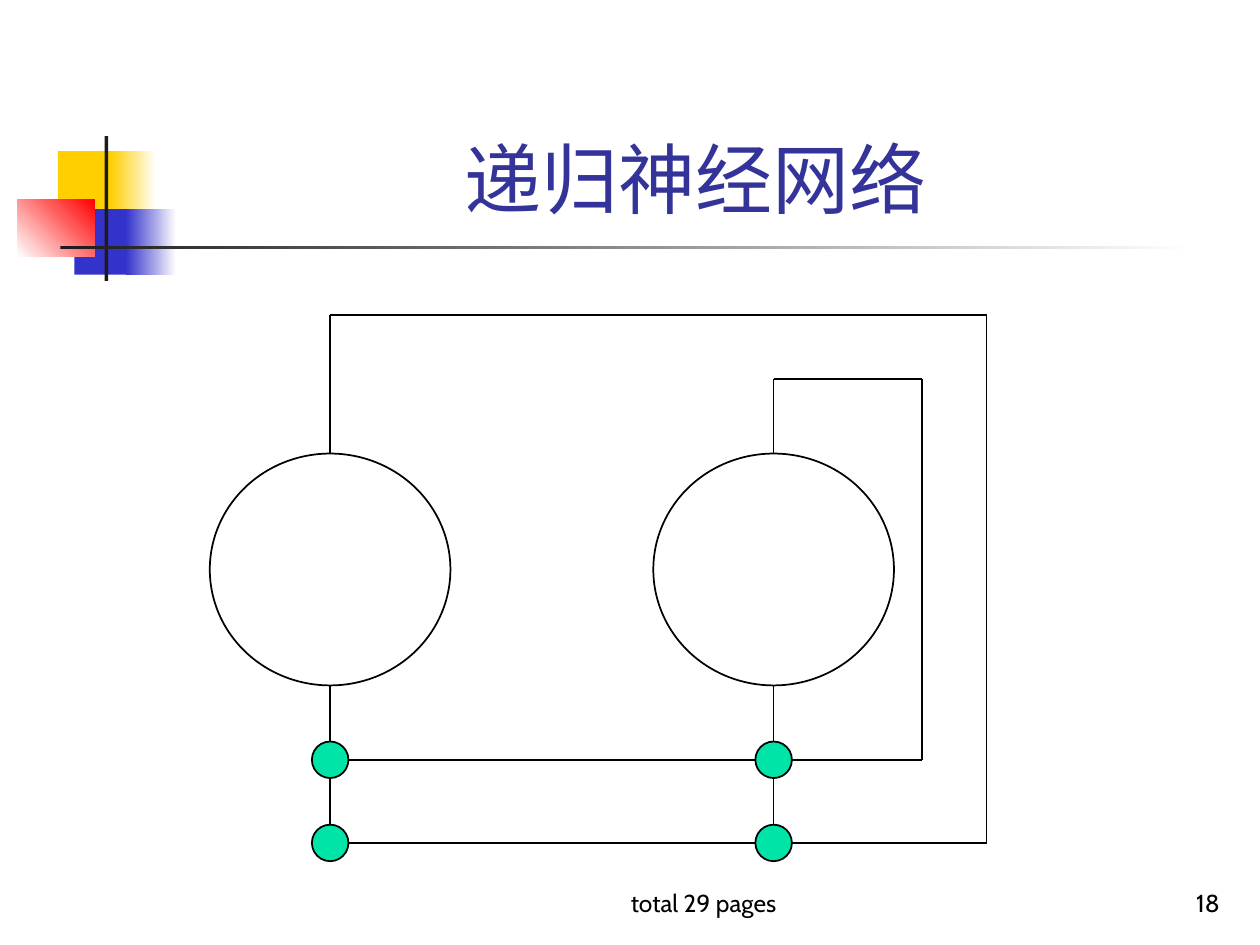
from lxml import etree
from pptx import Presentation
from pptx.dml.color import RGBColor
from pptx.enum.shapes import MSO_CONNECTOR, MSO_SHAPE
from pptx.enum.text import MSO_ANCHOR, MSO_AUTO_SIZE, PP_ALIGN
from pptx.oxml.ns import qn
from pptx.util import Inches, Pt

RECTANGLE, OVAL = MSO_SHAPE.RECTANGLE, MSO_SHAPE.OVAL
STRAIGHT = MSO_CONNECTOR.STRAIGHT
BOTTOM = MSO_ANCHOR.BOTTOM
NO_AUTOFIT = MSO_AUTO_SIZE.NONE
CENTER, RIGHT = PP_ALIGN.CENTER, PP_ALIGN.RIGHT

FONT = "Cabin"
BLACK = RGBColor(0x00, 0x00, 0x00)
WHITE = RGBColor(0xFF, 0xFF, 0xFF)
CHARCOAL = RGBColor(0x1C, 0x1C, 0x1C)
YELLOW = RGBColor(0xFF, 0xCF, 0x01)
BLUE = RGBColor(0x33, 0x33, 0xCC)
RED = RGBColor(0xFF, 0x00, 0x00)
NAVY = RGBColor(0x33, 0x33, 0x99)
GREEN = RGBColor(0x00, 0xE4, 0xA8)


def write_text(shape, text, size=14, color=BLACK, alignment=CENTER):
    frame = shape.text_frame
    frame.word_wrap = True
    frame.auto_size = NO_AUTOFIT
    frame.vertical_anchor = BOTTOM
    paragraph = frame.paragraphs[0]
    paragraph.alignment = alignment
    run = paragraph.add_run()
    run.text = text
    run.font.name = FONT
    run.font.size = Pt(size)
    run.font.color.rgb = color


def place(shape, left, top, width, height):
    shape.left, shape.top = Inches(left), Inches(top)
    shape.width, shape.height = Inches(width), Inches(height)


class SlideBuilder:
    def __init__(self, slide):
        self.slide = slide
        self.shapes = slide.shapes
        self.line_width = Pt(1)

    def start_group(self):
        self.shapes = self.slide.shapes.add_group_shape().shapes

    def title(self, text, box):
        title = self.slide.shapes.title
        place(title, *box)
        write_text(title, text, size=44, color=NAVY)

    def label(self, text, box, alignment):
        text_box = self.slide.shapes.add_textbox(*map(Inches, box))
        write_text(text_box, text, alignment=alignment)

    def bar(self, box, start, end=None, angle=0):
        shape = self.shapes.add_shape(RECTANGLE, *map(Inches, box))
        shape.shadow.inherit = False
        shape.line.fill.background()
        if end is None:
            shape.fill.solid()
            shape.fill.fore_color.rgb = start
        else:
            shape.fill.gradient()
            shape.fill.gradient_angle = angle
            for stop, position, color in zip(shape.fill.gradient_stops, (0, 1), (start, end)):
                stop.position = position
                stop.color.rgb = color

    def circle(self, center_x, center_y, width, height, color):
        box = (center_x - width / 2, center_y - height / 2, width, height)
        shape = self.shapes.add_shape(OVAL, *map(Inches, box))
        shape.shadow.inherit = False
        shape.fill.solid()
        shape.fill.fore_color.rgb = color
        shape.line.color.rgb = BLACK
        shape.line.width = self.line_width

    def wire(self, *points):
        for start, end in zip(points, points[1:]):
            connector = self.shapes.add_connector(STRAIGHT, *map(Inches, start + end))
            connector.line.color.rgb = BLACK
            connector.line.width = self.line_width
            etree.SubElement(connector._element.spPr, qn("a:effectLst"))


def draw_ornament(builder):
    builder.bar((0.46, 1.2, 0.48, 0.52), YELLOW)
    builder.bar((0.88, 1.2, 0.36, 0.52), YELLOW, WHITE)
    builder.bar((0.59, 1.66, 0.46, 0.52), BLUE)
    builder.bar((1, 1.66, 0.4, 0.52), BLUE, WHITE)
    builder.bar((0.14, 1.58, 0.61, 0.46), WHITE, RED, angle=45)
    builder.bar((0.83, 1.08, 0.03, 1.15), CHARCOAL)
    builder.bar((0.48, 1.95, 9, 0.03), CHARCOAL, WHITE)


def draw_network(builder):
    neuron_columns = (2.62, 6.14)
    synapse_rows = (6.03, 6.69)
    first, second = neuron_columns
    upper, lower = synapse_rows
    builder.start_group()
    for column, top, right, row in (
        (second, 3.01, 7.32, upper),
        (first, 2.5, 7.83, lower),
    ):
        builder.wire((column, lower), (column, top), (right, top), (right, row), (first, row))
    for column in neuron_columns:
        builder.circle(column, 4.52, 1.91, 1.84, WHITE)
        for row in synapse_rows:
            builder.circle(column, row, 0.29, 0.29, GREEN)


def main():
    presentation = Presentation()
    presentation.slide_width = Inches(10)
    presentation.slide_height = Inches(7.5)
    slide = presentation.slides.add_slide(presentation.slide_layouts[5])
    builder = SlideBuilder(slide)
    draw_ornament(builder)
    builder.title("递归神经网络", (1.26, 0.23, 8.52, 1.6))
    builder.label("total 29 pages", (4, 6.83, 3.17, 0.5), CENTER)
    builder.label("18", (7.7, 6.83, 2.08, 0.5), RIGHT)
    draw_network(builder)
    presentation.save("out.pptx")


if __name__ == "__main__":
    main()
